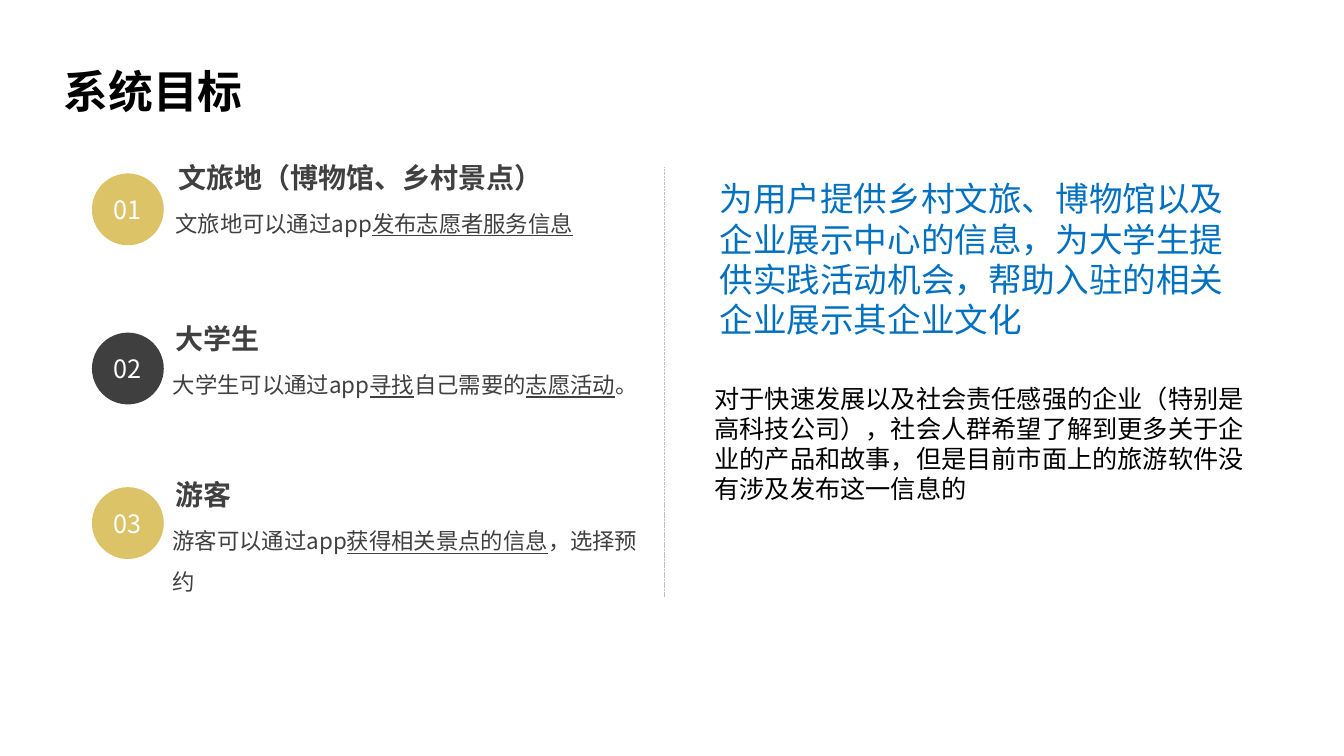
"""Build the system goals slide: three user groups on the left, the aims on the right."""
from lxml.etree import SubElement
from pptx import Presentation
from pptx.dml.color import RGBColor
from pptx.enum.dml import MSO_LINE
from pptx.enum.shapes import MSO_CONNECTOR, MSO_SHAPE
from pptx.enum.text import MSO_ANCHOR, PP_ALIGN
from pptx.oxml.ns import qn
from pptx.util import Pt

TITLE = "系统目标"
AIM = "为用户提供乡村文旅、博物馆以及企业展示中心的信息，为大学生提供实践活动机会，帮助入驻的相关企业展示其企业文化"
NEED = "对于快速发展以及社会责任感强的企业（特别是高科技公司），社会人群希望了解到更多关于企业的产品和故事，但是目前市面上的旅游软件没有涉及发布这一信息的"
GROUPS = [
    {"head": "文旅地（博物馆、乡村景点）", "left": 120.2, "top": 110.9, "disc": 123.9, "fill": "gold",
     "body": [("文旅地可以通过app", False), ("发布志愿者服务信息", True)]},
    {"head": "大学生", "left": 118.4, "top": 226.1, "disc": 237.6, "fill": "dark",
     "body": [("大学生可以通过app", False), ("寻找", True), ("自己需要的", False),
              ("志愿活动", True), ("。", False)]},
    {"head": "游客", "left": 118.2, "top": 337.7, "disc": 348, "fill": "gold",
     "body": [("游客可以通过app", False), ("获得相关景点的信息", True), ("，选择预约", False)]},
]
THEME = {
    "font": "Noto Sans CJK SC",
    "black": "000000", "blue": "0070C0", "gray": "404040", "white": "FFFFFF",
    "gold": "DDC367", "dark": "3F3F3F", "rule": "BFBFBF",
    "title": 32, "aim": 24, "head": 20, "text": 18, "body": 16,
}
PANELS = [(-0.6, 0, 961.2, 540), (-0.6, 24.5, 961.9, 490.3)]
DISC_LEFT, DISC = 65.7, 51.3
RULE_X, RULE_TOP, RULE_END = 474.5, 119.5, 426.2


def color(name):
    return RGBColor.from_string(THEME[name])


def write(shape, runs, size, tint, bold=False, align=PP_ALIGN.LEFT):
    frame = shape.text_frame
    frame.word_wrap = True
    para = frame.paragraphs[0]
    para.alignment = align
    for text, under in runs:
        run = para.add_run()
        run.text = text
        if under:
            run.font.underline = True
    font = para.font
    font.size, font.bold = Pt(THEME[size]), bold
    font.color.rgb = color(tint)
    font.name = THEME["font"]
    base = para._p.pPr.find(qn("a:defRPr"))
    SubElement(base, qn("a:ea")).set("typeface", THEME["font"])
    return para


def label(slide, area, runs, size, tint, bold=False):
    box = slide.shapes.add_textbox(*map(Pt, area))
    return write(box, runs, size, tint, bold)


def block(slide, area, fill="white", kind=MSO_SHAPE.RECTANGLE, anchor=MSO_ANCHOR.MIDDLE):
    shape = slide.shapes.add_shape(kind, *map(Pt, area))
    shape.shadow.inherit = False
    shape.fill.solid()
    shape.fill.fore_color.rgb = color(fill)
    shape.line.fill.background()
    shape.text_frame.vertical_anchor = anchor
    return shape


def divide(slide):
    rule = slide.shapes.add_connector(
        MSO_CONNECTOR.STRAIGHT, Pt(RULE_X), Pt(RULE_TOP), Pt(RULE_X), Pt(RULE_END))
    rule.line.color.rgb = color("rule")
    rule.line.width = Pt(0.25)
    rule.line.dash_style = MSO_LINE.SQUARE_DOT
    SubElement(rule._element.spPr, qn("a:effectLst"))


def main():
    deck = Presentation()
    deck.slide_width, deck.slide_height = Pt(960), Pt(540)
    slide = deck.slides.add_slide(deck.slide_layouts[6])

    for area in PANELS:
        block(slide, area)

    aim = block(slide, (506.9, 123.8, 397.4, 123.8), anchor=MSO_ANCHOR.TOP)
    write(aim, [(AIM, False)], "aim", "blue")

    title = block(slide, (31, 27.4, 283, 74.9))
    title.text_frame.margin_left = Pt(14.4)
    write(title, [(TITLE, False)], "title", "black", True)

    label(slide, (503.3, 270, 405.4, 94.3), [(NEED, False)], "text", "black")
    divide(slide)

    for count, group in enumerate(GROUPS, 1):
        left, top = group["left"], group["top"]
        disc = block(slide, (DISC_LEFT, group["disc"], DISC, DISC), group["fill"], MSO_SHAPE.OVAL)
        write(disc, [(f"{count:02}", False)], "text", "white", align=PP_ALIGN.CENTER)
        label(slide, (left, top, 279.4, 31.7), [(group["head"], False)], "head", "gray", True)
        body = label(slide, (left - 2, top + 26, 350, 36), group["body"], "body", "gray")
        body.line_spacing = 1.5

    deck.save("out.pptx")


if __name__ == "__main__":
    main()
